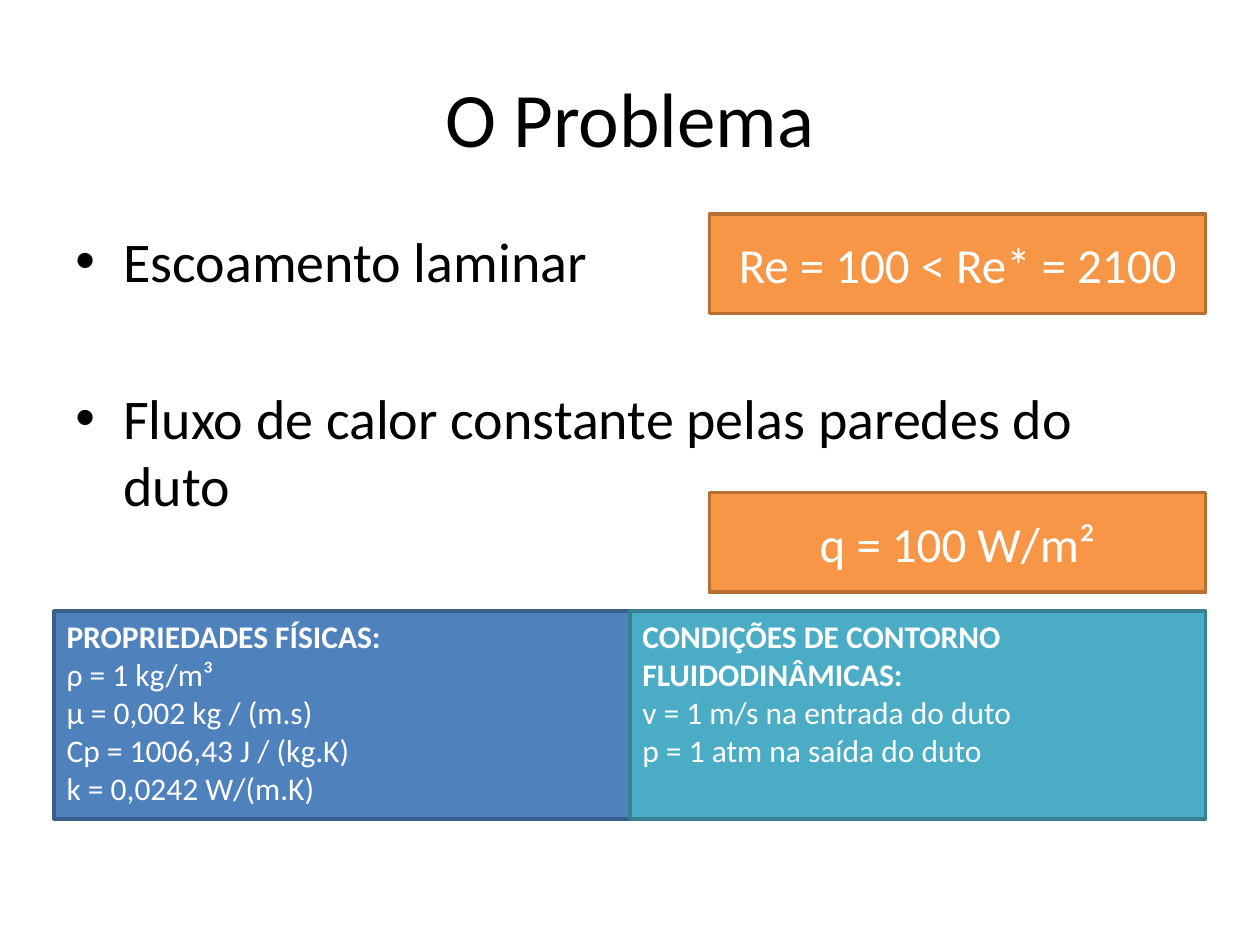
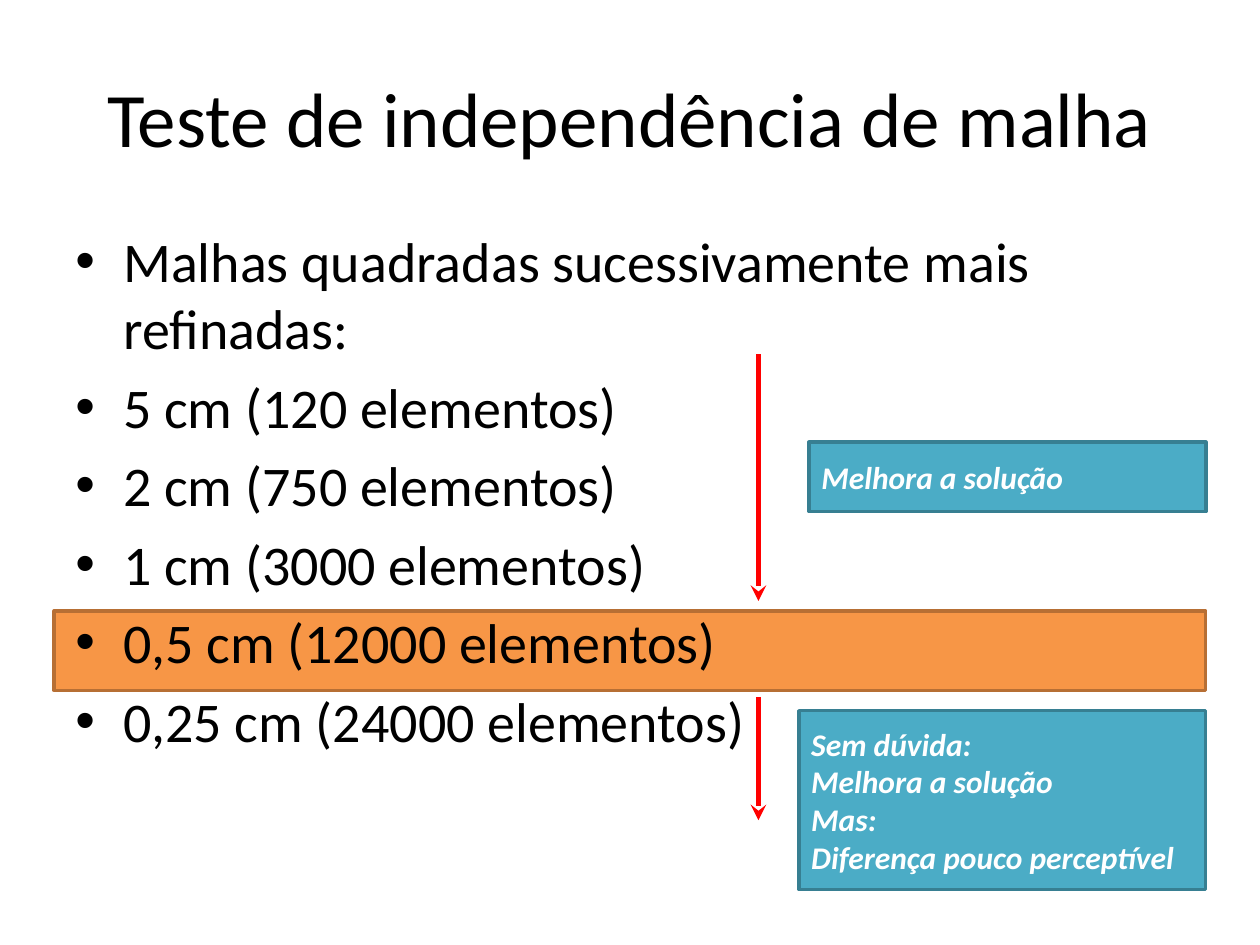
from dataclasses import dataclass

from lxml import etree
from pptx import Presentation
from pptx.dml.color import RGBColor
from pptx.enum.shapes import MSO_CONNECTOR, MSO_SHAPE
from pptx.enum.text import MSO_ANCHOR, PP_ALIGN
from pptx.oxml.ns import qn
from pptx.slide import Slide
from pptx.text.text import TextFrame
from pptx.util import Inches, Length, Pt

RECTANGLE = MSO_SHAPE.RECTANGLE
STRAIGHT = MSO_CONNECTOR.STRAIGHT
TOP, MIDDLE = MSO_ANCHOR.TOP, MSO_ANCHOR.MIDDLE
LEFT, CENTER = PP_ALIGN.LEFT, PP_ALIGN.CENTER

BLACK = RGBColor(0x00, 0x00, 0x00)
WHITE = RGBColor(0xFF, 0xFF, 0xFF)
RED = RGBColor(0xFF, 0x00, 0x00)

FONT = "Calibri"
TITLE_ONLY = 5

# Grid: 100 columns by 75 rows of square cells
COLUMNS, ROWS = 100, 75
CELL = Inches(0.1)
EDGE = 4.3                       # outer margin of the coloured boxes
RIGHT_EDGE = COLUMNS - EDGE
FULL_WIDTH = RIGHT_EDGE - EDGE
PANEL_ROW = 48.5                 # row where the panels and the highlight start
ARROW_COLUMN = 60.2


def cells(count: float) -> Length:
    return Length(round(count * CELL))


@dataclass(frozen=True)
class Area:
    column: float
    row: float
    columns: float
    rows: float

    def lengths(self) -> tuple[Length, Length, Length, Length]:
        return (cells(self.column), cells(self.row),
                cells(self.columns), cells(self.rows))


@dataclass(frozen=True)
class Tone:
    fill: RGBColor
    border: RGBColor


@dataclass(frozen=True)
class Box:
    area: Area
    tone: Tone
    lines: tuple[str, ...] = ()
    size: float = 18
    align: PP_ALIGN = LEFT
    anchor: MSO_ANCHOR = MIDDLE
    bold: bool = False
    italic: bool = False
    heading: bool = False        # only the first line is bold


@dataclass(frozen=True)
class Arrow:
    start_row: float
    end_row: float


ORANGE = Tone(RGBColor(0xF7, 0x96, 0x46), RGBColor(0xB7, 0x6F, 0x34))
BLUE = Tone(RGBColor(0x4F, 0x81, 0xBD), RGBColor(0x3A, 0x5F, 0x8C))
TEAL = Tone(RGBColor(0x4B, 0xAC, 0xC6), RGBColor(0x37, 0x7F, 0x92))

TITLE_AREA = Area(5, 3, 90, 12.5)


def write(frame: TextFrame, lines: tuple[str, ...], *, size: float,
          color: RGBColor = BLACK, align: PP_ALIGN = LEFT,
          anchor: MSO_ANCHOR = TOP, bold: bool = False, italic: bool = False,
          heading: bool = False, bullets: bool = False,
          first_space: float = 0, space: float = 0) -> None:
    """Fill a text frame, one paragraph a line, in one format."""
    frame.word_wrap = True
    frame.vertical_anchor = anchor
    for index, line in enumerate(lines):
        paragraph = frame.add_paragraph() if index else frame.paragraphs[0]
        paragraph.alignment = align
        paragraph.space_before = Pt(space if index else first_space)
        run = paragraph.add_run()
        run.text = line
        run.font.name, run.font.size = FONT, Pt(size)
        run.font.color.rgb = color
        run.font.bold = bold or (heading and index == 0)
        run.font.italic = italic
        if bullets:
            properties = paragraph._p.get_or_add_pPr()
            properties.set("marL", str(Inches(0.38)))
            properties.set("indent", str(-Inches(0.38)))
            etree.SubElement(properties, qn("a:buFont"), typeface="Arial")
            etree.SubElement(properties, qn("a:buChar"), char="•")


def add_titled_slide(deck: Presentation, heading: str) -> Slide:
    slide = deck.slides.add_slide(deck.slide_layouts[TITLE_ONLY])
    title = slide.shapes.title
    title.left, title.top, title.width, title.height = TITLE_AREA.lengths()
    write(title.text_frame, (heading,), size=44, align=CENTER, anchor=MIDDLE)
    return slide


def add_bullets(slide: Slide, lines: tuple[str, ...], rows: float,
                space: float = 6.4) -> None:
    body = slide.shapes.add_textbox(*Area(5, 17.5, 90, rows).lengths())
    write(body.text_frame, lines, size=32, bullets=True,
          first_space=6.4, space=space)


def add_box(slide: Slide, box: Box) -> None:
    shape = slide.shapes.add_shape(RECTANGLE, *box.area.lengths())
    shape.shadow.inherit = False
    shape.fill.solid()
    shape.fill.fore_color.rgb = box.tone.fill
    shape.line.color.rgb = box.tone.border
    shape.line.width = Pt(2)
    write(shape.text_frame, box.lines, size=box.size, color=WHITE,
          align=box.align, anchor=box.anchor, bold=box.bold,
          italic=box.italic, heading=box.heading)


def add_arrow(slide: Slide, arrow: Arrow) -> None:
    x = cells(ARROW_COLUMN)
    connector = slide.shapes.add_connector(
        STRAIGHT, x, cells(arrow.start_row), x, cells(arrow.end_row))
    connector.line.color.rgb = RED
    connector.line.width = Pt(3)
    etree.SubElement(connector.line._get_or_add_ln(), qn("a:tailEnd"),
                     type="stealth")
    etree.SubElement(connector._element.spPr, qn("a:effectLst"))


def right_area(row: float, columns: float, rows: float) -> Area:
    """An area that ends at the right margin."""
    return Area(RIGHT_EDGE - columns, row, columns, rows)


def build_problem(deck: Presentation) -> None:
    slide = add_titled_slide(deck, "O Problema")
    # The wide gap leaves room for the first formula
    add_bullets(slide, ("Escoamento laminar",
                        "Fluxo de calor constante pelas paredes do duto"),
                rows=24.7, space=51)

    # Formulas
    for row, formula in ((17, "Re = 100 < Re* = 2100"),
                         (39.1, "q = 100 W/m²")):
        add_box(slide, Box(right_area(row, 39.4, 7.9), ORANGE, (formula,),
                           size=28, align=CENTER))

    # Two panels of equal width
    panels = (
        (BLUE, ("PROPRIEDADES FÍSICAS:", "ρ = 1 kg/m³",
                "μ = 0,002 kg / (m.s)", "Cp = 1006,43 J / (kg.K)",
                "k = 0,0242 W/(m.K)")),
        (TEAL, ("CONDIÇÕES DE CONTORNO FLUIDODINÂMICAS:",
                "v = 1 m/s na entrada do duto",
                "p = 1 atm na saída do duto")),
    )
    panel_width = FULL_WIDTH / len(panels)
    for index, (tone, lines) in enumerate(panels):
        area = Area(EDGE + index * panel_width, PANEL_ROW, panel_width, 16.5)
        add_box(slide, Box(area, tone, lines, anchor=TOP, heading=True))


def build_mesh_test(deck: Presentation) -> None:
    slide = add_titled_slide(deck, "Teste de independência de malha")
    # Highlight behind the chosen mesh
    add_box(slide, Box(Area(EDGE, PANEL_ROW, FULL_WIDTH, 6.3), ORANGE))
    meshes = (("5", 120), ("2", 750), ("1", 3000),
              ("0,5", 12000), ("0,25", 24000))
    add_bullets(slide, (
        "Malhas quadradas sucessivamente mais refinadas:",
        *(f"{side} cm ({count} elementos)" for side, count in meshes),
    ), rows=49.5)

    # Refinement steps and their remarks
    steps = (
        (Arrow(28.1, 47.7), right_area(35.1, 31.5, 5.5),
         ("Melhora a solução",)),
        (Arrow(55.3, 65.1), right_area(56.4, 32.3, 14.2),
         ("Sem dúvida:", "Melhora a solução", "Mas:",
          "Diferença pouco perceptível")),
    )
    for arrow, area, remark in steps:
        add_arrow(slide, arrow)
        add_box(slide, Box(area, TEAL, remark, bold=True, italic=True))


def main() -> None:
    deck = Presentation()
    deck.slide_width, deck.slide_height = cells(COLUMNS), cells(ROWS)
    build_problem(deck)
    build_mesh_test(deck)
    deck.save("out.pptx")


if __name__ == "__main__":
    main()
